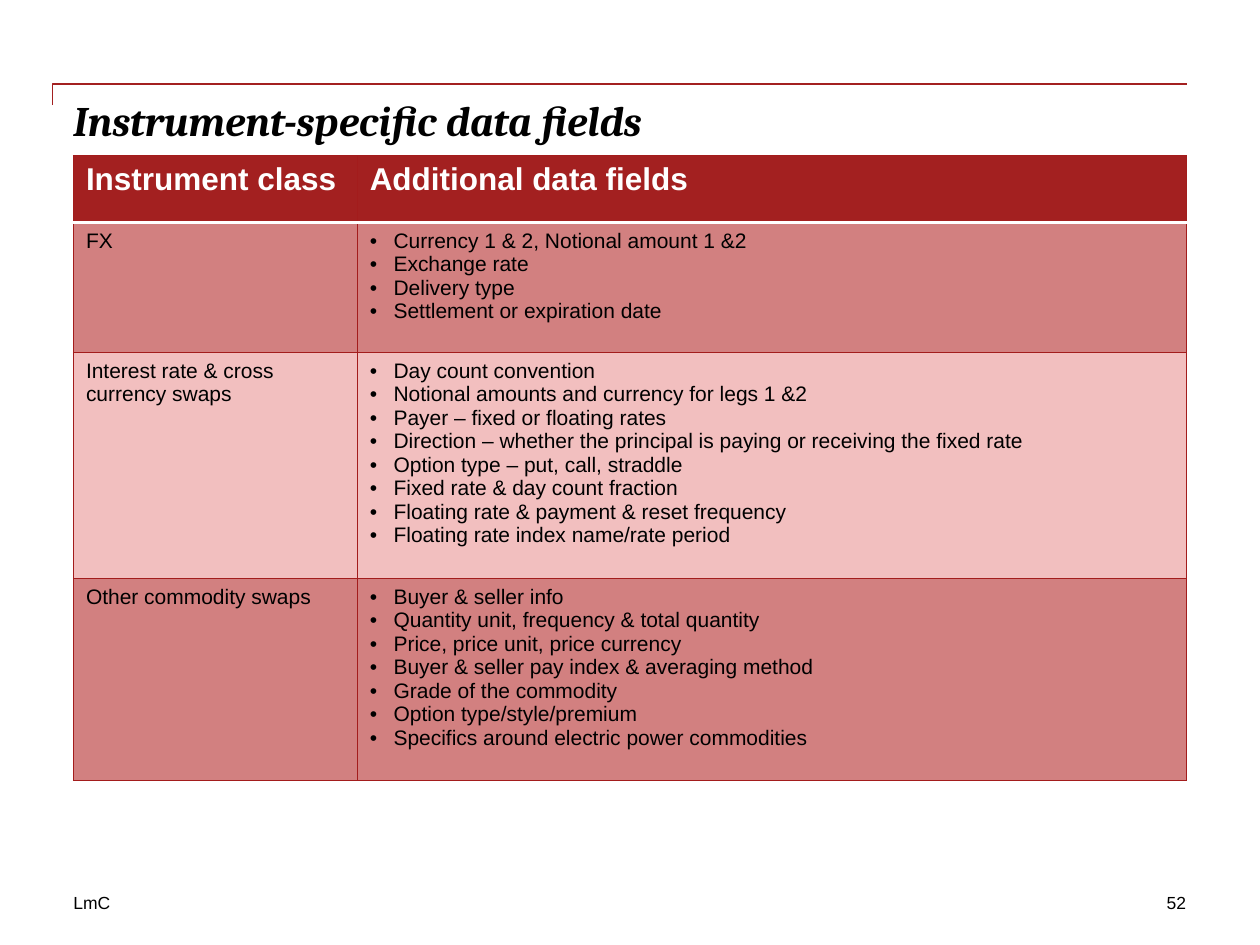
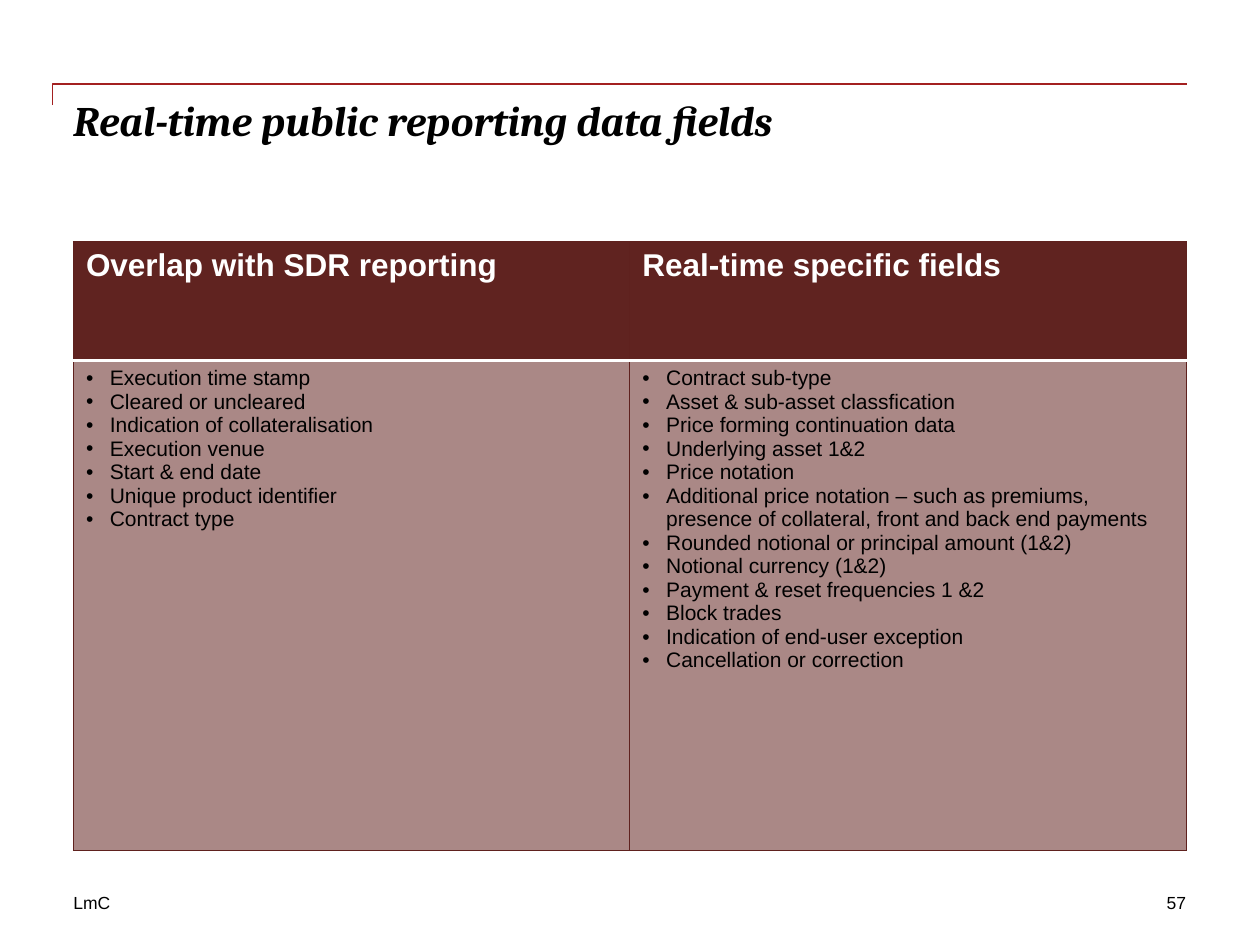
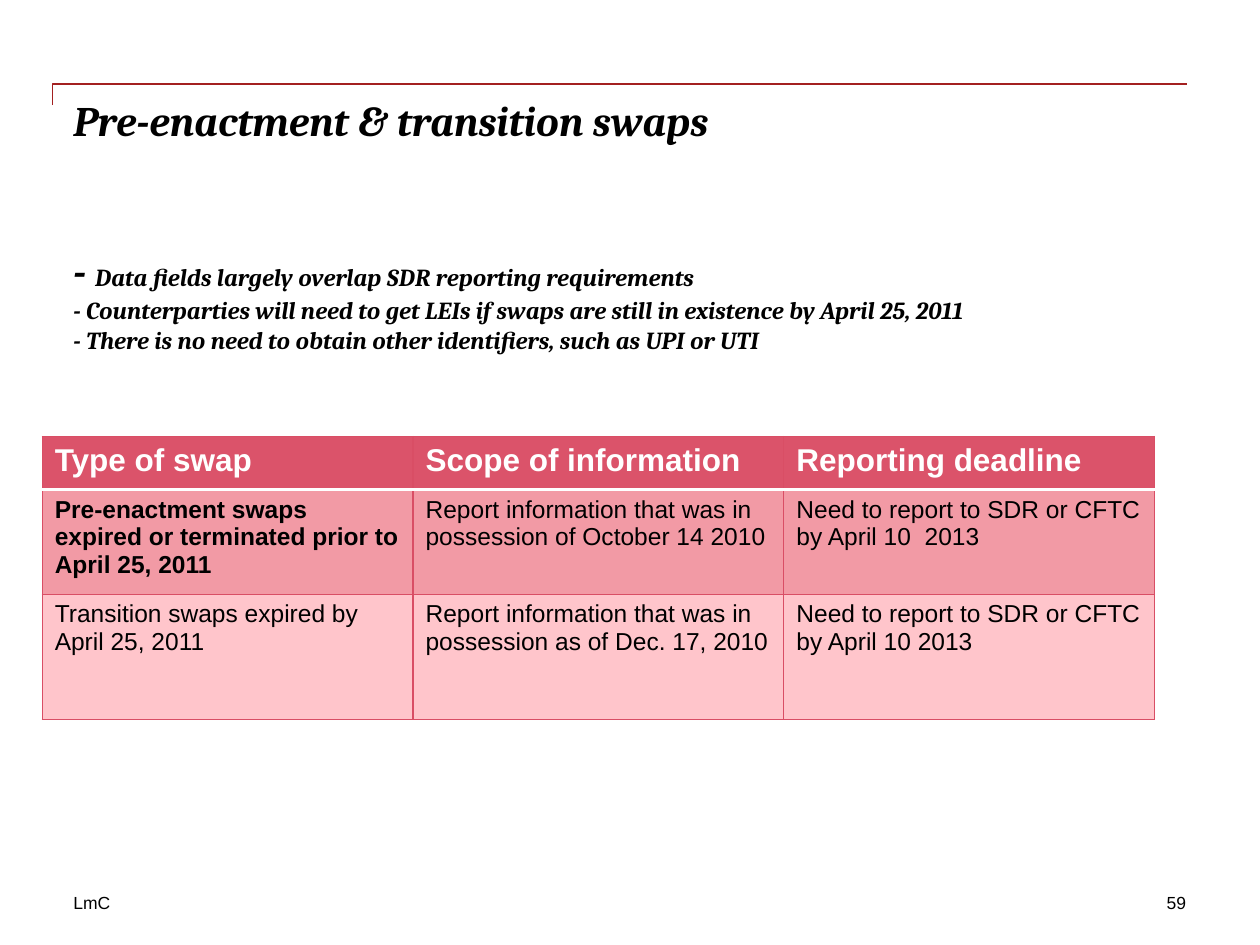
from dataclasses import dataclass

from lxml import etree
from pptx import Presentation
from pptx.dml import color as c
from pptx.enum import text as t
from pptx.oxml import ns
from pptx.util import Cm, Pt

RED = "A32020"
BLACK = "000000"
WHITE = "FFFFFF"
BODY_FONT = "Arial"
TITLE_FONT = "Cambria"
LEFT = 1.48
WIDTH = 22.43
FOOTER_TOP = 17.98
BULLET_INDENT = Cm(0.48)


@dataclass(frozen=True)
class Palette:
    header: str
    border: str
    bands: tuple[str, ...]


@dataclass(frozen=True)
class Cell:
    lines: tuple[str, ...]
    bulleted: bool = False
    bold: bool = False


@dataclass(frozen=True)
class TableBlock:
    left: float
    top: float
    columns: tuple[float, ...]
    rows: tuple[float, ...]
    size: int
    palette: Palette
    headings: tuple[str, ...]
    body: tuple[tuple[Cell, ...], ...]


@dataclass(frozen=True)
class Page:
    number: str
    title: str
    table: TableBlock
    notes: tuple[str, ...] = ()


def plain(line: str, bold: bool = False) -> Cell:
    return Cell((line,), bold=bold)


def bullets(*lines: str) -> Cell:
    return Cell(lines, bulleted=True)


def rgb(value: str) -> c.RGBColor:
    return c.RGBColor.from_string(value)


def write(paragraph, content: str, *, size: int, font: str = BODY_FONT,
          color: str = BLACK, bold: bool = False, italic: bool = False) -> None:
    run = paragraph.add_run()
    run.text = content
    run.font.name = font
    run.font.size = Pt(size)
    run.font.bold = bold
    run.font.italic = italic
    run.font.color.rgb = rgb(color)


def write_title(paragraph, content: str, size: int = 24) -> None:
    write(paragraph, content, size=size, font=TITLE_FONT, bold=True, italic=True)


def add_frame(slide, left: float, top: float, width: float, height: float):
    frame = slide.shapes.add_textbox(Cm(left), Cm(top), Cm(width), Cm(height)).text_frame
    frame.word_wrap = True
    frame.vertical_anchor = t.MSO_ANCHOR.TOP
    frame.margin_left = frame.margin_right = frame.margin_top = frame.margin_bottom = 0
    return frame


def add_bullet(paragraph) -> None:
    properties = paragraph._p.get_or_add_pPr()
    properties.set("marL", str(BULLET_INDENT))
    properties.set("indent", str(-BULLET_INDENT))
    etree.SubElement(properties, ns.qn("a:buFont"), typeface=BODY_FONT)
    etree.SubElement(properties, ns.qn("a:buChar"), char="•")


def add_border(cell, side: str, color: str, width: float) -> None:
    properties = cell._tc.get_or_add_tcPr()
    line = etree.SubElement(properties, ns.qn(f"a:ln{side}"), w=str(Pt(width)))
    fill = etree.SubElement(line, ns.qn("a:solidFill"))
    etree.SubElement(fill, ns.qn("a:srgbClr"), val=color)


def style_cell(cell, row: int, palette: Palette) -> None:
    white_side = {0: "B", 1: "T"}.get(row)
    for side in "LRTB":
        if side == white_side:
            add_border(cell, side, WHITE, 2)
        else:
            add_border(cell, side, palette.border, 0.75)
    cell.fill.solid()
    band = palette.bands[(row - 1) % len(palette.bands)]
    cell.fill.fore_color.rgb = rgb(band if row else palette.header)


def fill_cell(cell, content: Cell, size: int, color: str) -> None:
    frame = cell.text_frame
    for index, line in enumerate(content.lines):
        paragraph = frame.add_paragraph() if index else frame.paragraphs[0]
        if content.bulleted:
            add_bullet(paragraph)
        write(paragraph, line, size=size, color=color, bold=content.bold)


def draw_table(slide, block: TableBlock) -> None:
    table = slide.shapes.add_table(
        len(block.rows), len(block.columns), Cm(block.left), Cm(block.top),
        Cm(sum(block.columns)), Cm(sum(block.rows))).table
    for column, width in zip(table.columns, block.columns):
        column.width = Cm(width)
    for row, height in zip(table.rows, block.rows):
        row.height = Cm(height)
    headings = tuple(plain(heading, bold=True) for heading in block.headings)
    for row_index, contents in enumerate((headings, *block.body)):
        size, color = (block.size, BLACK) if row_index else (18, WHITE)
        for column_index, content in enumerate(contents):
            cell = table.cell(row_index, column_index)
            style_cell(cell, row_index, block.palette)
            fill_cell(cell, content, size, color)


def draw_corner_rule(slide) -> None:
    builder = slide.shapes.build_freeform(Cm(1.06), Cm(2.12))
    builder.add_line_segments([(Cm(1.06), Cm(1.69)), (Cm(23.92), Cm(1.69))], close=False)
    rule = builder.convert_to_shape()
    rule.shadow.inherit = False
    rule.fill.background()
    rule.line.color.rgb = rgb(RED)
    rule.line.width = Pt(1)


def draw_title(slide, page: Page) -> None:
    frame = add_frame(slide, LEFT, 1.91, WIDTH, 2.54)
    write_title(frame.paragraphs[0], page.title)
    for index, note in enumerate(page.notes):
        paragraph = frame.add_paragraph()
        if index == 0:
            paragraph.space_before = Pt(57)
        write_title(paragraph, "- ", 14 if index else 24)
        write_title(paragraph, note, 14)


def draw_footer(slide, number: str) -> None:
    write(add_frame(slide, LEFT, FOOTER_TOP, 7.2, 0.42).paragraphs[0], "LmC", size=10)
    paragraph = add_frame(slide, 19.68, FOOTER_TOP, 4.23, 0.42).paragraphs[0]
    paragraph.alignment = t.PP_ALIGN.RIGHT
    write(paragraph, number, size=10)


def draw_page(presentation, page: Page) -> None:
    slide = presentation.slides.add_slide(presentation.slide_layouts[6])
    draw_corner_rule(slide)
    draw_title(slide, page)
    draw_table(slide, page.table)
    draw_footer(slide, page.number)


INSTRUMENTS = TableBlock(
    LEFT, 3.14, (5.72, 16.71), (1.35, 2.62, 4.56, 4.06), 12,
    Palette(RED, "A31C1C", ("D28080", "F2BFBF")),
    ("Instrument class", "Additional data fields"),
    (
        (plain("FX"),
         bullets("Currency 1 & 2, Notional amount 1 &2",
                 "Exchange rate",
                 "Delivery type",
                 "Settlement or expiration date")),
        (plain("Interest rate & cross currency swaps"),
         bullets("Day count convention",
                 "Notional amounts and currency for legs 1 &2",
                 "Payer – fixed or floating rates",
                 "Direction – whether the principal is paying or receiving the fixed rate",
                 "Option type – put, call, straddle",
                 "Fixed rate & day count fraction",
                 "Floating rate & payment & reset frequency",
                 "Floating rate index name/rate period")),
        (plain("Other commodity swaps"),
         bullets("Buyer & seller info",
                 "Quantity unit, frequency & total quantity",
                 "Price, price unit, price currency",
                 "Buyer & seller pay index & averaging method",
                 "Grade of the commodity",
                 "Option type/style/premium",
                 "Specifics around electric power commodities")),
    ))

REAL_TIME = TableBlock(
    LEFT, 4.87, (WIDTH / 2,) * 2, (2.39, 9.88), 12,
    Palette("602320", "5F211E", ("AA8886",)),
    ("Overlap with SDR reporting", "Real-time specific fields"),
    (
        (bullets("Execution time stamp",
                 "Cleared or uncleared",
                 "Indication of collateralisation",
                 "Execution venue",
                 "Start & end date",
                 "Unique product identifier",
                 "Contract type"),
         bullets("Contract sub-type",
                 "Asset & sub-asset classfication",
                 "Price forming continuation data",
                 "Underlying asset 1&2",
                 "Price notation",
                 "Additional price notation – such as premiums, presence of collateral, "
                 "front and back end payments",
                 "Rounded notional or principal amount (1&2)",
                 "Notional currency (1&2)",
                 "Payment & reset frequencies 1 &2",
                 "Block trades",
                 "Indication of end-user exception",
                 "Cancellation or correction")),
    ))

TRANSITION = TableBlock(
    0.85, 8.8, (WIDTH / 3,) * 3, (1.07, 2.11, 2.53), 14,
    Palette("DB536A", "D94E65", ("F29AA5", "FFC5CB")),
    ("Type of swap", "Scope of information", "Reporting deadline"),
    (
        (plain("Pre-enactment swaps expired or terminated prior to April 25, 2011", bold=True),
         plain("Report information that was in possession of October 14 2010"),
         plain("Need to report to SDR or CFTC by April 10  2013")),
        (plain("Transition swaps expired by April 25, 2011"),
         plain("Report information that was in possession as of Dec. 17, 2010"),
         plain("Need to report to SDR or CFTC by April 10 2013")),
    ))

PAGES = (
    Page("52", "Instrument-specific data fields", INSTRUMENTS),
    Page("57", "Real-time public reporting data fields", REAL_TIME),
    Page("59", "Pre-enactment & transition swaps", TRANSITION, (
        "Data fields largely overlap SDR reporting requirements",
        "Counterparties will need to get LEIs if swaps are still in existence by April 25, 2011",
        "There is no need to obtain other identifiers, such as UPI or UTI")),
)


def main() -> None:
    presentation = Presentation()
    presentation.slide_width = Cm(25.4)
    presentation.slide_height = Cm(19.05)
    for page in PAGES:
        draw_page(presentation, page)
    presentation.save("out.pptx")


if __name__ == "__main__":
    main()
